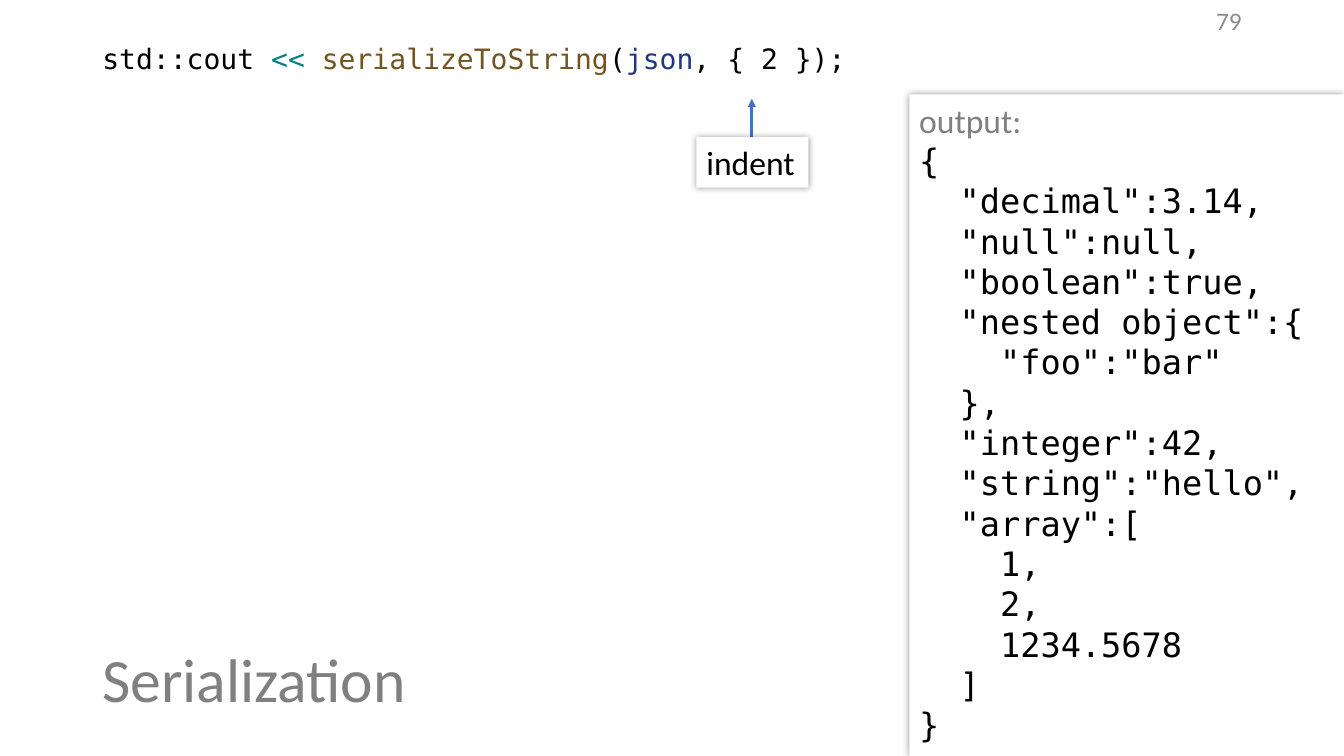
from lxml.etree import SubElement
from pptx import Presentation
from pptx.dml.color import RGBColor
from pptx.enum.shapes import MSO_CONNECTOR, MSO_SHAPE
from pptx.enum.text import MSO_ANCHOR, PP_ALIGN
from pptx.oxml.ns import qn
from pptx.util import Pt

COLORS = {
    "white": "FFFFFF", "black": "000000", "gray": "808080", "number": "8C8C8C",
    "operator": "008080", "function": "74531F", "variable": "1F377F", "arrow": "4472C4",
}
SANS, MONO = "Calibri", "DejaVu Sans Mono"


def add_run(p, text, size, font, color):
    r = p.add_run()
    r.text = text
    r.font.size = Pt(size)
    r.font.name = font
    r.font.color.rgb = RGBColor.from_string(COLORS[color])


def add_card(s, left, top, width, height):
    sp = s.shapes.add_shape(MSO_SHAPE.RECTANGLE, Pt(left), Pt(top), Pt(width), Pt(height))
    sp.fill.solid()
    sp.fill.fore_color.rgb = RGBColor.from_string(COLORS["white"])
    sp.line.fill.background()
    sp.shadow.inherit = False
    effects = sp._element.spPr.find(qn("a:effectLst"))
    shadow = SubElement(effects, qn("a:outerShdw"), blurRad=str(Pt(5)), dist="0", dir="0",
                        algn="ctr", rotWithShape="0")
    color = SubElement(shadow, qn("a:srgbClr"), val=COLORS["black"])
    SubElement(color, qn("a:alpha"), val="40000")
    tf = sp.text_frame
    tf.vertical_anchor = MSO_ANCHOR.TOP
    tf.paragraphs[0].alignment = PP_ALIGN.LEFT
    return tf


prs = Presentation()
prs.slide_width, prs.slide_height = Pt(960), Pt(540)
s = prs.slides.add_slide(prs.slide_layouts[6])

tf = s.shapes.add_textbox(Pt(66), Pt(435.6), Pt(828), Pt(104.4)).text_frame
tf.word_wrap = True
tf.vertical_anchor = MSO_ANCHOR.MIDDLE
p = tf.paragraphs[0]
p.line_spacing = 0.9
add_run(p, "Serialization", 44, SANS, "gray")

tf = s.shapes.add_textbox(Pt(66), Pt(28.8), Pt(828), Pt(406.8)).text_frame
tf.word_wrap = True
p = tf.paragraphs[0]
p.line_spacing = 0.9
for text, color in [
    ("std::cout ", "black"), ("<<", "operator"), (" ", "black"),
    ("serializeToString", "function"), ("(", "black"), ("json", "variable"),
    (", { 2 });", "black"),
]:
    add_run(p, text, 20, MONO, color)

tf = s.shapes.add_textbox(Pt(678), Pt(0), Pt(216), Pt(28.8)).text_frame
tf.word_wrap = True
tf.vertical_anchor = MSO_ANCHOR.MIDDLE
p = tf.paragraphs[0]
p.alignment = PP_ALIGN.RIGHT
add_run(p, "79", 18, SANS, "number")

output = """{
  "decimal":3.14,
  "null":null,
  "boolean":true,
  "nested object":{
    "foo":"bar"
  },
  "integer":42,
  "string":"hello",
  "array":[
    1,
    2,
    1234.5678
  ]
}"""
tf = add_card(s, 649.5, 67.5, 310.5, 472.5)
add_run(tf.paragraphs[0], "output:", 24, SANS, "gray")
for line in output.splitlines():
    p = tf.add_paragraph()
    p.alignment = PP_ALIGN.LEFT
    add_run(p, line, 24, MONO, "black")

arrow = s.shapes.add_connector(MSO_CONNECTOR.STRAIGHT, Pt(537), Pt(98), Pt(537), Pt(70.5))
arrow.line.color.rgb = RGBColor.from_string(COLORS["arrow"])
arrow.line.width = Pt(2)
SubElement(arrow.line._get_or_add_ln(), qn("a:tailEnd"), type="triangle")
SubElement(arrow._element.spPr, qn("a:effectLst"))

tf = add_card(s, 497.5, 98, 80, 36)
tf.word_wrap = False
add_run(tf.paragraphs[0], "indent", 24, SANS, "black")

prs.save("out.pptx")
